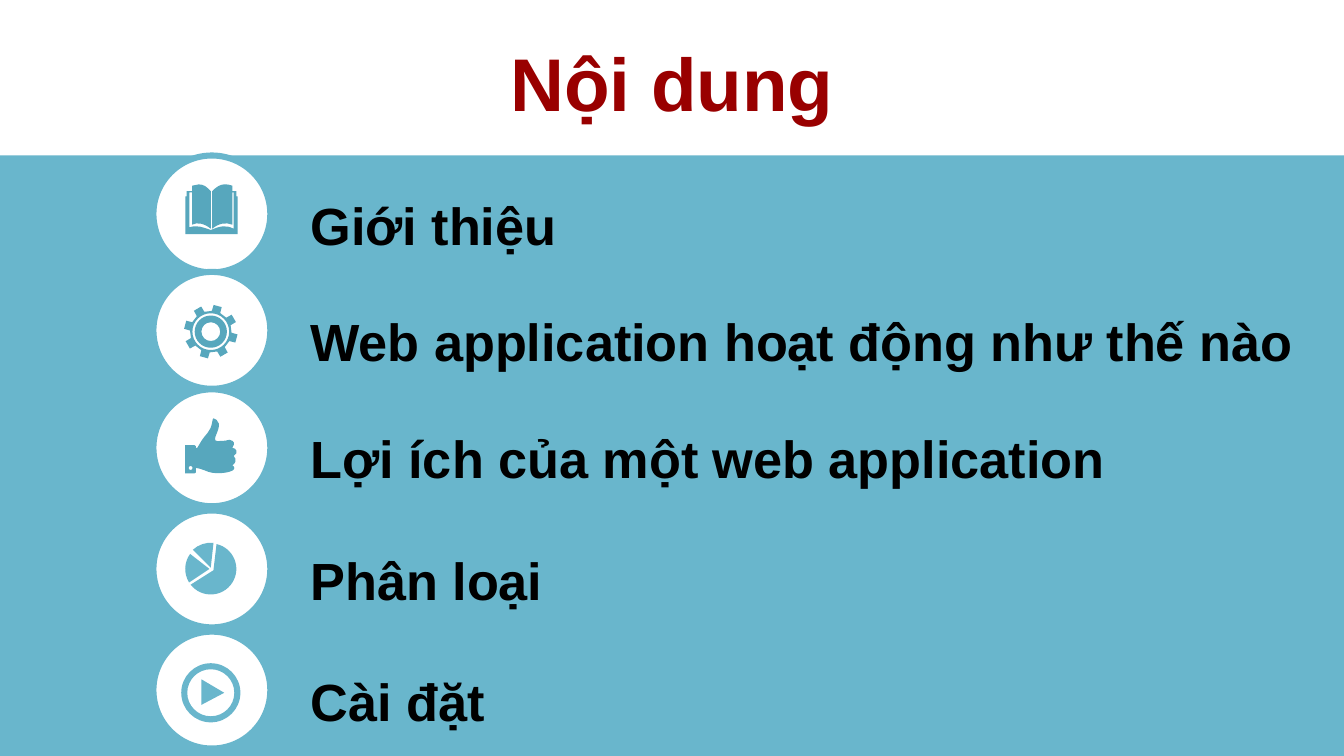
from math import cos, radians, sin, tan

from pptx import Presentation
from pptx.dml.color import RGBColor
from pptx.enum.shapes import MSO_SHAPE
from pptx.enum.text import MSO_ANCHOR, PP_ALIGN
from pptx.oxml.ns import qn
from pptx.util import Cm, Pt

RECT = MSO_SHAPE.RECTANGLE
OVAL = MSO_SHAPE.OVAL
MIDDLE = MSO_ANCHOR.MIDDLE
TOP = MSO_ANCHOR.TOP
CENTER = PP_ALIGN.CENTER
LEFT = PP_ALIGN.LEFT

COLORS = {"band": "69B6CC", "icon": "57A7BD", "disc": "FFFFFF",
          "title": "990000", "label": "000000"}
FONT = "Arial"
DISC = 2.21
DISC_X = 2.9
TICK = Cm(2.54) / 100

BOOK = [
    (0, 12), (7, 9, 11, 8, 17, 11), (17, -16), (16, -16), (16, 8),
    (11, 6, 6, 7, 1, 11), (1, -17), (4, -20, 7, -22, 10, -22),
    (12, -22, 13, -22, 16, -21), (16, -17), (19, -17), (19, -13), (20, -13),
    (20, 15), (-19, 15), (-19, -13), (-18, -13), (-18, -17), (-14, -17),
    (-14, -21), (-12, -22, -11, -22, -9, -22), (-5, -22, -3, -20, 0, -17),
    (0, 11), (-5, 7, -10, 6, -14, 8), (-14, -16), (-16, -16), (-16, 10),
    (-10, 8, -6, 10, 0, 12),
]
THUMB = [
    (2, -22), (4, -22, 5, -20, 6, -18), (7, -13, 0, -5, 5, -5),
    (8, -5, 10, -5, 14, -6), (18, -5, 18, -3, 16, 0), (19, 0, 21, 4, 17, 6),
    (20, 9, 18, 12, 16, 13), (18, 14, 18, 16, 16, 17),
    (12, 19, 2, 20, -4, 17), (-7, 16, -9, 15, -11, 15), (-11, 17),
    (-11, 18, -11, 19, -12, 19), (-19, 19), (-19, -2), (-12, -2),
    (-11, -2, -11, -2, -11, -1), (-11, 0), (-10, 0),
    (-9, -2, -9, -3, -7, -5), (-4, -10, 0, -12, 1, -19),
    (1, -21, 2, -22, 2, -22),
]


def rgb(name):
    return RGBColor.from_string(COLORS[name])


def spot(x, y, r, turn):
    return x + r * cos(radians(turn)), y + r * sin(radians(turn))


def arc(x, y, r, start=0, end=360):
    count = max(1, round((end - start) / 90))
    step = (end - start) / count
    pull = r * 4 / 3 * tan(radians(step / 4))
    steps = [spot(x, y, r, start)]
    for i in range(count):
        a, b = start + i * step, start + (i + 1) * step
        first, last = spot(x, y, r, a), spot(x, y, r, b)
        steps.append(spot(*first, pull, a + 90)
                     + spot(*last, pull, b - 90) + last)
    return steps


def gear():
    tooth = ((15.5, -12), (20, -9), (20, 9), (15.5, 12))
    teeth = [spot(0, 1, r, 45 * i - 75 + turn)
             for i in range(8) for r, turn in tooth]
    return [teeth] + [arc(0, 1, r) for r in (13.7, 12, 7)]


def pie():
    return [[(-1, 0)] + arc(0, 0, 19, 148, 216),
            [(2, 1)] + arc(0, 0, 19, -77, 142),
            [(0, -1)] + arc(0, 0, 19.5, 227, 276)]


def play():
    return [[(-7, -8), (10, 2), (-7, 11)], arc(0, 2, 17.5), arc(0, 2, 22)]


def paint(shape, fill, line=None):
    shape.shadow.inherit = False
    shape.fill.solid()
    shape.fill.fore_color.rgb = rgb(fill)
    if line:
        shape.line.color.rgb = rgb(line)
        shape.line.width = Pt(3.25)
    else:
        shape.line.fill.background()


def add_shape(slide, kind, box, fill, line=None):
    shape = slide.shapes.add_shape(kind, *map(Cm, box))
    paint(shape, fill, line)


def bend(shape, loops):
    lines = iter(list(shape._element.iter(qn("a:lnTo"))))
    for loop in loops:
        for step in loop[1:]:
            group = [next(lines) for _ in range(len(step) // 2)]
            if len(group) == 1:
                continue
            cubic = group[0].makeelement(qn("a:cubicBezTo"))
            group[0].addprevious(cubic)
            for line in group:
                cubic.append(line[0])
                line.getparent().remove(line)


def add_icon(slide, loops, x, y, fill):
    pen = None
    for loop in loops:
        dots = [(Cm(x) + step[i] * TICK, Cm(y) + step[i + 1] * TICK)
                for step in loop for i in range(0, len(step), 2)]
        if pen is None:
            pen = slide.shapes.build_freeform(*dots[0])
        else:
            pen.move_to(*dots[0])
        pen.add_line_segments(dots[1:], close=True)
    shape = pen.convert_to_shape()
    bend(shape, loops)
    paint(shape, fill)


def write(shape, text, size=28, color="label", align=LEFT, anchor=TOP):
    frame = shape.text_frame
    frame.word_wrap = True
    frame.vertical_anchor = anchor
    frame.text = text
    para = frame.paragraphs[0]
    para.alignment = align
    font = para.runs[0].font
    font.name = FONT
    font.size = Pt(size)
    font.bold = True
    font.color.rgb = rgb(color)


def add_title(slide, text):
    title = slide.shapes.title
    title.left, title.top = Cm(0.5), Cm(0.74)
    title.width, title.height = Cm(24.4), Cm(1.6)
    write(title, text, size=40, color="title", align=CENTER, anchor=MIDDLE)


def add_item(slide, text, top, wide, loops, fill):
    add_shape(slide, OVAL, (DISC_X, top, DISC, DISC), "disc", "band")
    add_icon(slide, loops, DISC_X + DISC / 2 - 0.02, top + DISC / 2, fill)
    box = slide.shapes.add_textbox(Cm(5.62), Cm(top + 0.58),
                                   Cm(wide), Cm(1.45))
    write(box, text)


def main():
    deck = Presentation()
    deck.slide_width, deck.slide_height = Cm(25.4), Cm(14.29)
    slide = deck.slides.add_slide(deck.slide_layouts[5])
    add_shape(slide, RECT, (0, 2.94, 25.4, 11.35), "band")
    add_title(slide, "Nội dung")
    items = [
        ("Giới thiệu", 2.94, 16.28, [BOOK], "icon"),
        ("Web application hoạt động như thế nào", 5.14, 19.28,
         gear(), "icon"),
        ("Lợi ích của một web application", 7.36, 16.21,
         [THUMB, arc(-15, 15, 1.5)], "icon"),
        ("Phân loại", 9.65, 16.21, pie(), "band"),
        ("Cài đặt", 11.94, 16.21, play(), "band"),
    ]
    for item in items:
        add_item(slide, *item)
    deck.save("out.pptx")


if __name__ == "__main__":
    main()
